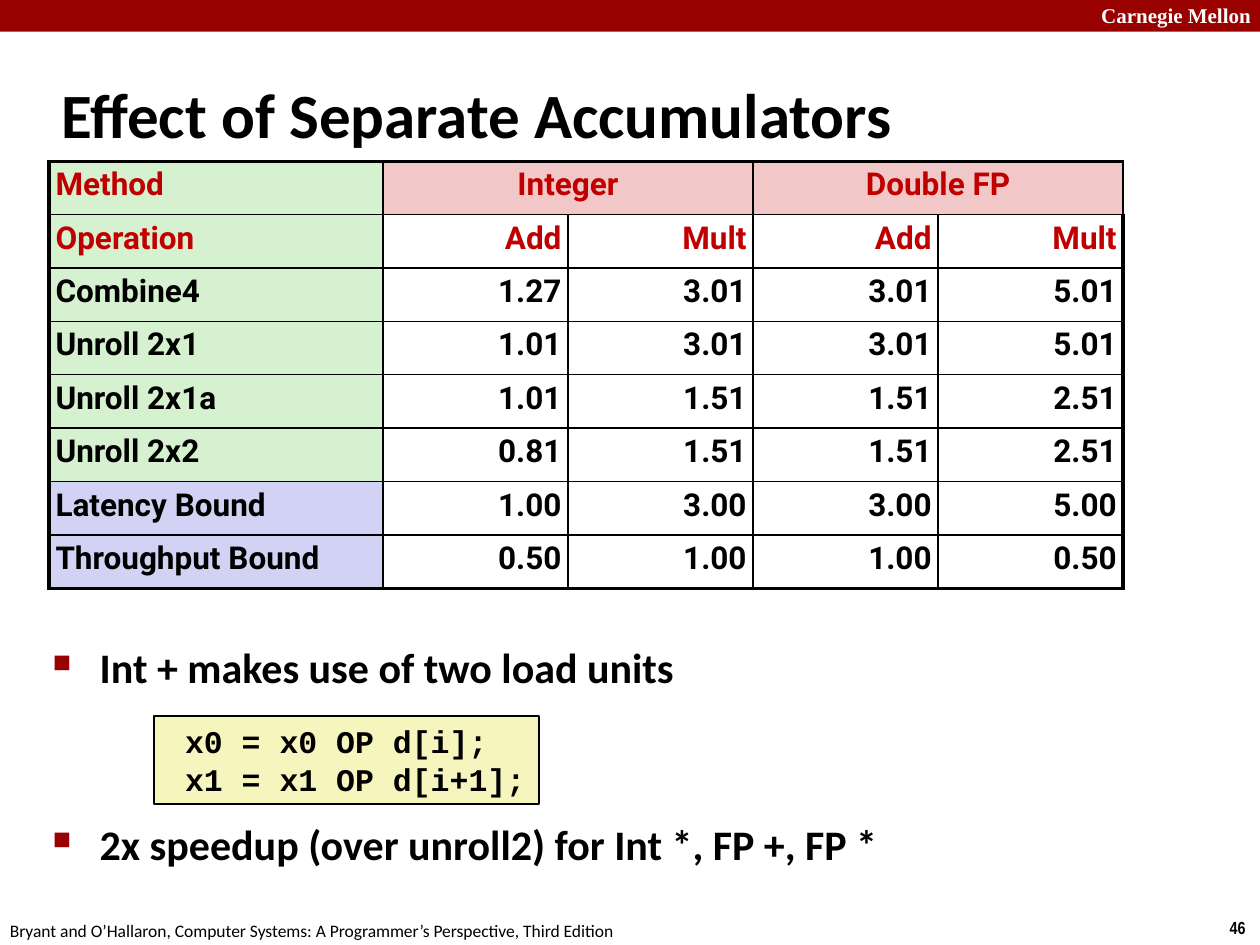
from lxml import etree
from pptx import Presentation
from pptx.dml.color import RGBColor
from pptx.enum.shapes import MSO_SHAPE
from pptx.enum.text import MSO_ANCHOR, PP_ALIGN
from pptx.oxml.ns import qn
from pptx.util import Cm, Pt

LEFT, MID, RIGHT = PP_ALIGN.LEFT, PP_ALIGN.CENTER, PP_ALIGN.RIGHT
RECT = MSO_SHAPE.RECTANGLE
CENTRE = MSO_ANCHOR.MIDDLE

COLORS = {
    "black": "000000", "white": "FFFFFF", "bar": "990000", "head": "C00000",
    "green": "D5F1CF", "pink": "F1C7C7", "blue": "D2D2F4", "code": "F6F5BD",
}
FORMATS = {
    "brand": {"name": "Times New Roman", "size": Pt(12), "bold": True},
    "page": {"name": "Arial Narrow", "size": Pt(10), "bold": True},
    "foot": {"name": "Calibri", "size": Pt(10), "bold": False},
    "title": {"name": "Calibri", "size": Pt(36), "bold": True},
    "body": {"name": "Calibri", "size": Pt(24), "bold": True},
    "code": {"name": "Courier New", "size": Pt(18), "bold": True},
    "cell": {"name": "Roboto", "size": Pt(18), "bold": True},
}


def rgb(key):
    return RGBColor.from_string(COLORS[key])


def write(para, text, kind, color="black", align=LEFT):
    """Put formatted text into a paragraph."""
    para.alignment = align
    run = para.add_run()
    run.text = text
    for key, value in FORMATS[kind].items():
        setattr(run.font, key, value)
    run.font.color.rgb = rgb(color)


prs = Presentation()
prs.slide_width, prs.slide_height = Cm(25.4), Cm(19.05)
slide = prs.slides.add_slide(prs.slide_layouts[6])
shapes = slide.shapes

# Top bar
bar = shapes.add_shape(RECT, 0, 0, prs.slide_width, Cm(0.64))
bar.shadow.inherit = False
bar.fill.solid()
bar.fill.fore_color.rgb = rgb("bar")
bar.line.fill.background()

# Single lines: text, kind, color, wrap, left, top, width, height
lines = [
    ("Carnegie Mellon", "brand", "white", True, 21.95, -0.08, 3.63, 0.76),
    ("46", "page", "black", False, 24.54, 18.36, 0.86, 0.69),
    ("Bryant and O’Hallaron, Computer Systems: A Programmer’s Perspective, Third Edition",
     "foot", "black", False, -0.05, 18.42, 12.9, 0.69),
    ("Effect of Separate Accumulators", "title", "black", True, 0.99, 1.22, 21.08, 2.11),
]
for text, kind, color, wrap, *place in lines:
    frame = shapes.add_textbox(*map(Cm, place)).text_frame
    frame.word_wrap = wrap
    if kind == "title":
        frame.vertical_anchor = CENTRE
    write(frame.paragraphs[0], text, kind, color)

# Bullets, with room for the code between them
frame = shapes.add_textbox(Cm(0.81), Cm(12.8), Cm(23.09), Cm(5.21)).text_frame
frame.word_wrap = True
points = ["Int + makes use of two load units",
          "2x speedup (over unroll2) for Int *, FP +, FP *"]
for n, text in enumerate(points):
    para = frame.paragraphs[0] if n == 0 else frame.add_paragraph()
    props = para._p.get_or_add_pPr()
    props.set("marL", str(Cm(0.95)))
    props.set("indent", str(-Cm(0.95)))
    tint = etree.SubElement(props, qn("a:buClr"))
    etree.SubElement(tint, qn("a:srgbClr"), val=COLORS["bar"])
    etree.SubElement(props, qn("a:buSzPct"), val="60000")
    etree.SubElement(props, qn("a:buChar"), char="■")
    if n:
        para.space_before = Pt(72.5)
    write(para, text, "body")

# Code box
code = shapes.add_shape(RECT, Cm(3.1), Cm(14.43), Cm(7.77), Cm(1.78))
code.shadow.inherit = False
code.fill.solid()
code.fill.fore_color.rgb = rgb("code")
code.line.color.rgb = rgb("black")
code.line.width = Pt(1)
frame = code.text_frame
frame.word_wrap = False
for n, text in enumerate([" x0 = x0 OP d[i];", " x1 = x1 OP d[i+1];"]):
    para = frame.paragraphs[0] if n == 0 else frame.add_paragraph()
    write(para, text, "code")

# Results table
rows = [
    ["Method", "Integer", "", "Double FP", ""],
    ["Operation", "Add", "Mult", "Add", "Mult"],
    ["Combine4", "1.27", "3.01", "3.01", "5.01"],
    ["Unroll 2x1", "1.01", "3.01", "3.01", "5.01"],
    ["Unroll 2x1a", "1.01", "1.51", "1.51", "2.51"],
    ["Unroll 2x2", "0.81", "1.51", "1.51", "2.51"],
    ["Latency Bound", "1.00", "3.00", "3.00", "5.00"],
    ["Throughput Bound", "0.50", "1.00", "1.00", "0.50"],
]
last, end = len(rows) - 1, len(rows[0]) - 1
table = shapes.add_table(len(rows), len(rows[0]), Cm(0.99), Cm(3.25),
                         Cm(21.65), Cm(8.61)).table
table.first_row = table.horz_banding = False
for c, col in enumerate(table.columns):
    col.width = Cm(3.73 if c else 6.73)
for c in (1, 3):
    table.cell(0, c).merge(table.cell(0, c + 1))

for r, row in enumerate(rows):
    for c, text in enumerate(row):
        cell = table.cell(r, c)
        for side in ("left", "right", "top", "bottom"):
            setattr(cell, f"margin_{side}", Cm(0.13))
        props = cell._tc.get_or_add_tcPr()
        outer = {"lnL": c == 0, "lnR": c == end, "lnT": r == 0, "lnB": r == last}
        for tag, thick in outer.items():
            edge = etree.SubElement(props, qn(f"a:{tag}"), w=str(Pt(2.25 if thick else 1)))
            fill = etree.SubElement(edge, qn("a:solidFill"))
            etree.SubElement(fill, qn("a:srgbClr"), val=COLORS["black"])
        if c and r:
            cell.fill.background()
        else:
            cell.fill.solid()
            tone = "pink" if c else "green" if r < 6 else "blue"
            cell.fill.fore_color.rgb = rgb(tone)
        if text:
            para = cell.text_frame.paragraphs[0]
            para.line_spacing = 0.95
            align = LEFT if c == 0 else MID if r == 0 else RIGHT
            write(para, text, "cell", "head" if r < 2 else "black", align)

prs.save("out.pptx")
